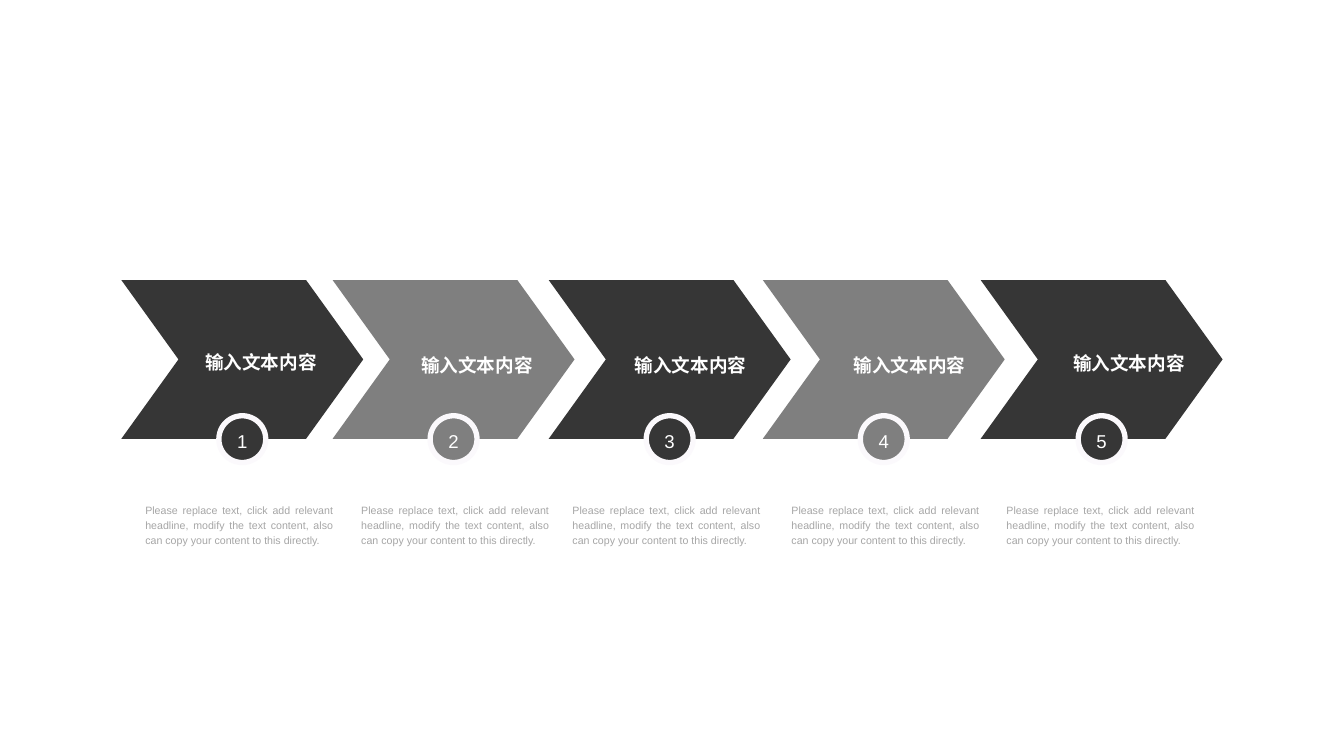
from pptx import Presentation
from pptx.dml.color import RGBColor
from pptx.enum.shapes import MSO_SHAPE
from pptx.enum.text import MSO_ANCHOR, PP_ALIGN
from pptx.util import Inches, Pt

COLOURS = {"dark": "363636", "grey": "7F7F7F", "ring": "FBF9FC",
           "white": "FFFFFF", "caption": "A6A6A6"}
LABEL = "输入文本内容"
CAPTION = ("Please replace text, click add relevant headline, modify the text "
           "content, also can copy your content to this directly.")

# Each step: arrow left, label centre x and y, caption left (percent of slide)
STEPS = [(9.03, 19.42, 47.66, 10.81),
         (24.75, 35.49, 47.98, 26.88),
         (40.83, 51.39, 47.98, 42.6),
         (56.76, 67.67, 47.98, 58.89),
         (72.97, 84, 47.72, 74.89)]
ARROW_TOP, ARROW_WIDTH, ARROW_HEIGHT = 37.04, 18, 21
BADGE_WIDTH, BADGE_HEIGHT, BADGE_MIDDLE = 3.49, 6.19, 58.09
LABEL_WIDTH, LABEL_HEIGHT = 12, 3.2
CAPTION_TOP, CAPTION_WIDTH, CAPTION_HEIGHT = 66.25, 14, 5.94


def rgb(name):
    return RGBColor.from_string(COLOURS[name])


def write(shape, text, size=14, colour="white", bold=False,
          align=PP_ALIGN.CENTER, anchor=MSO_ANCHOR.MIDDLE):
    frame = shape.text_frame
    frame.word_wrap = True
    frame.vertical_anchor = anchor
    frame.margin_left = frame.margin_right = 0
    frame.margin_top = frame.margin_bottom = 0
    para = frame.paragraphs[0]
    para.alignment = align
    para.line_spacing = 1.2
    span = para.add_run()
    span.text = text
    span.font.name = "Arial"
    span.font.size = Pt(size)
    span.font.bold = bold
    span.font.color.rgb = rgb(colour)


class ProcessPage:
    def __init__(self, deck):
        self.deck = deck
        self.page = deck.slides.add_slide(deck.slide_layouts[6])

    def area(self, left, top, width, height):
        """Turn percentages of the slide into lengths."""
        across, down = self.deck.slide_width, self.deck.slide_height
        return [round(share * full / 100) for share, full in
                zip((left, top, width, height), (across, down, across, down))]

    def shape(self, kind, area, colour):
        shape = self.page.shapes.add_shape(kind, *self.area(*area))
        shape.shadow.inherit = False
        shape.fill.solid()
        shape.fill.fore_color.rgb = rgb(colour)
        shape.line.fill.background()
        return shape

    def arrow(self, left, colour):
        arrow = self.shape(MSO_SHAPE.CHEVRON,
                           (left, ARROW_TOP, ARROW_WIDTH, ARROW_HEIGHT), colour)
        arrow.adjustments[0] = 0.36

    def badge(self, centre, number, colour):
        badge = self.shape(MSO_SHAPE.OVAL,
                           (centre - BADGE_WIDTH / 2, BADGE_MIDDLE - BADGE_HEIGHT / 2,
                            BADGE_WIDTH, BADGE_HEIGHT), colour)
        badge.line.color.rgb = rgb("ring")
        badge.line.width = Pt(4)
        write(badge, str(number))

    def text(self, area, text, **style):
        box = self.page.shapes.add_textbox(*self.area(*area))
        write(box, text, **style)


def main():
    deck = Presentation()
    deck.slide_width, deck.slide_height = Inches(14.06), Inches(7.91)
    page = ProcessPage(deck)

    for number, (left, label_x, label_y, caption_left) in enumerate(STEPS, 1):
        colour = "dark" if number % 2 else "grey"
        # Arrow with its label
        page.arrow(left, colour)
        page.text((label_x - LABEL_WIDTH / 2, label_y - LABEL_HEIGHT / 2,
                   LABEL_WIDTH, LABEL_HEIGHT), LABEL, bold=True)
        # Numbered badge on the lower edge
        page.badge(left + ARROW_WIDTH / 2, number, colour)
        # Caption below
        page.text((caption_left, CAPTION_TOP, CAPTION_WIDTH, CAPTION_HEIGHT),
                  CAPTION, size=8, colour="caption",
                  align=PP_ALIGN.JUSTIFY, anchor=MSO_ANCHOR.TOP)

    deck.save("out.pptx")


if __name__ == "__main__":
    main()
